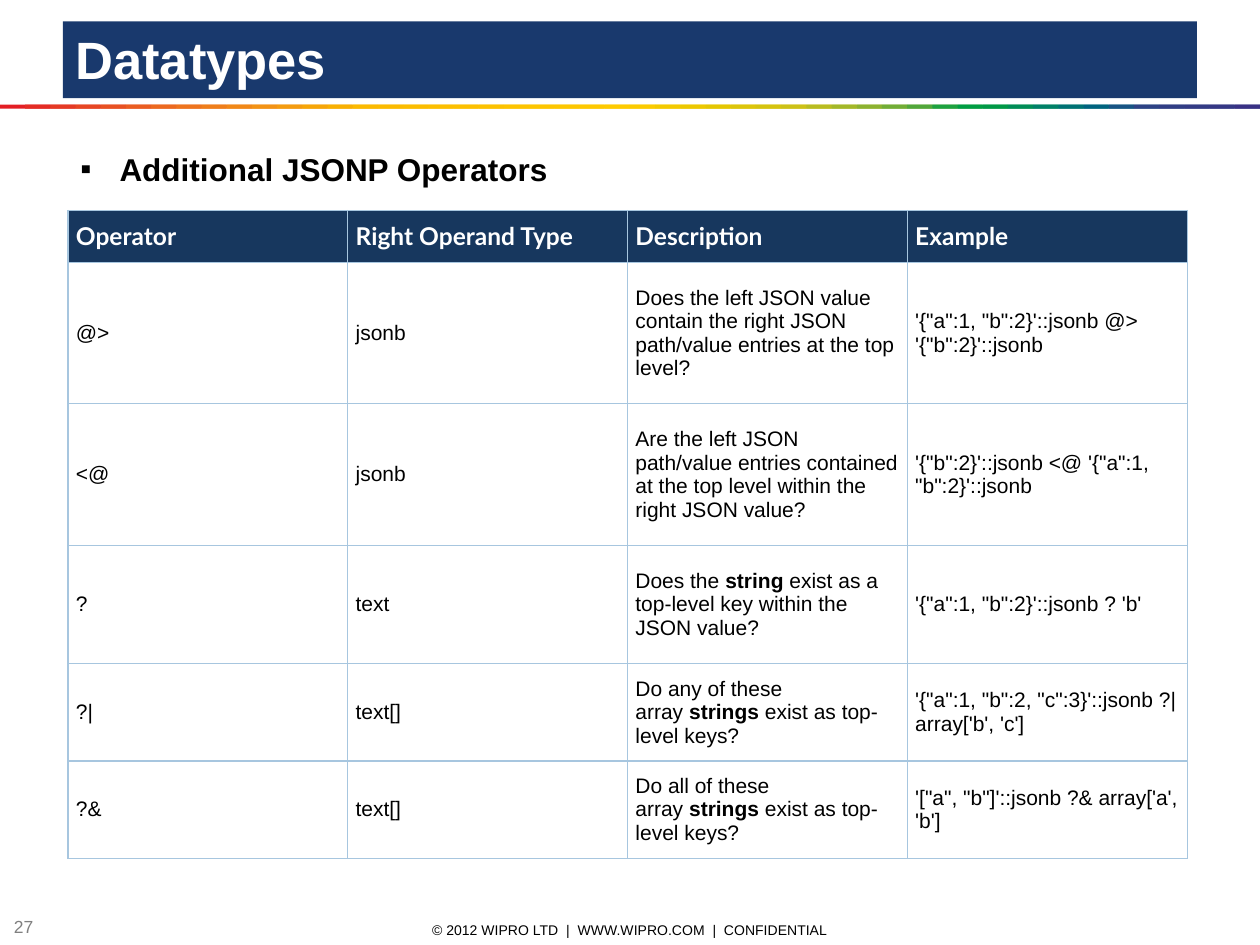
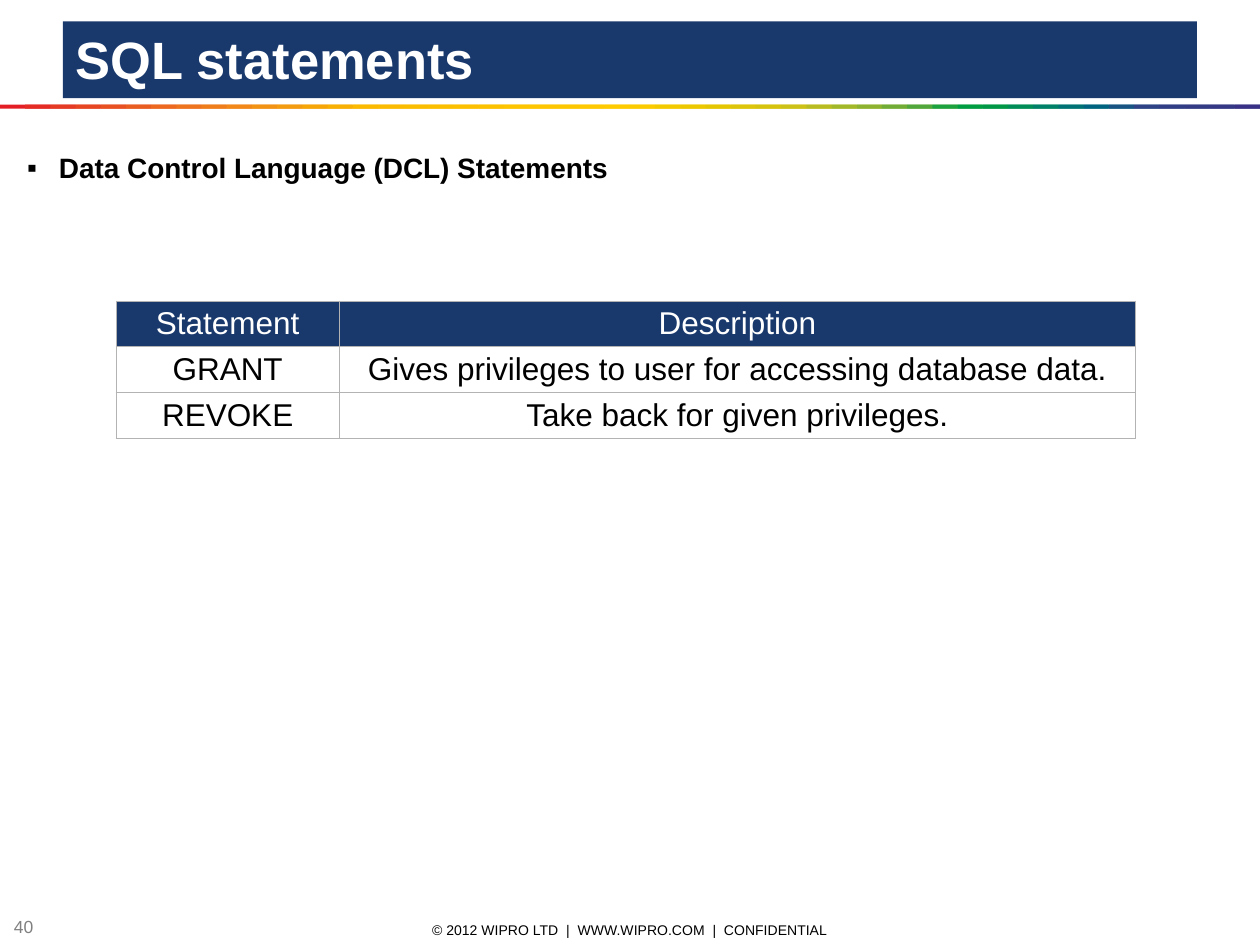
from dataclasses import dataclass
from typing import NamedTuple

from pptx import Presentation
from pptx.dml.color import RGBColor
from pptx.enum.shapes import MSO_SHAPE
from pptx.enum.text import MSO_ANCHOR, PP_ALIGN
from pptx.oxml.ns import qn
from pptx.slide import Slide
from pptx.table import _Cell
from pptx.text.text import TextFrame, _Paragraph
from pptx.util import Cm, Pt
from lxml.etree import SubElement


class TextStyle(NamedTuple):
    size: float
    color: str
    bold: bool = False
    font: str = "Arial"
    align: PP_ALIGN = PP_ALIGN.LEFT


class Box(NamedTuple):
    left: float
    top: float
    width: float
    height: float

    def lengths(self) -> tuple[Cm, ...]:
        return tuple(Cm(value) for value in self)


class Emphasis(NamedTuple):
    before: str
    strong: str
    after: str


@dataclass(frozen=True)
class Theme:
    navy: str = "19396D"
    white: str = "FFFFFF"
    title: TextStyle = TextStyle(30, "FFFFFF", True)
    footer: TextStyle = TextStyle(8, "000000", align=PP_ALIGN.CENTER)
    page_number: TextStyle = TextStyle(10, "808080")
    operator_heading: TextStyle = TextStyle(18, "000000", True)
    operator_header: TextStyle = TextStyle(14, "FFFFFF", True, "Lato")
    operator_body: TextStyle = TextStyle(12, "000000")
    statement_heading: TextStyle = TextStyle(16, "000000", True)
    statement_header: TextStyle = TextStyle(18, "FFFFFF", align=PP_ALIGN.CENTER)
    statement_body: TextStyle = TextStyle(18, "000000", align=PP_ALIGN.CENTER)
    rainbow: tuple[str, ...] = tuple(
        """
        E31E24 E42C24 E53A24 E74623 E85122 EA5D21 EC691F EE741D EF7E1A F18817
        F39314 F49C0F F6A607 F8B002 FBBA00 FBBB00 FBBD00 FCBF00 FCC000 FCC200
        FDC400 FDC600 FDC700 FEC900 FECB00 FBCB00 F3CA00 ECC800 E4C602 DCC50A
        D5C30E CCC117 B8BC21 A3B829 8CB230 71AD36 51A73B 1DA240 009D43 009846
        008C57 008068 007275 00637F 185384 2E4285 313E85 333B85 353885 393185
        """.split()
    )


@dataclass(frozen=True)
class Heading:
    text: str
    box: Box
    indent: float
    style: TextStyle


@dataclass(frozen=True)
class Grid:
    left: float
    top: float
    columns: tuple[float, ...]
    rows: tuple[float, ...]
    cells: tuple[tuple[str | Emphasis, ...], ...]
    header: TextStyle
    body: TextStyle
    header_fill: str
    border: str
    side_margin: float


@dataclass(frozen=True)
class Page:
    number: int
    title: str
    heading: Heading
    grid: Grid


THEME = Theme()
SLIDE_WIDTH, SLIDE_HEIGHT = 25.4, 19.05
TITLE_BOX = Box(1.27, 0.43, 22.86, 1.55)
FOOTER_BOX = Box(8.38, 18.49, 8.64, 0.51)
NUMBER_BOX = Box(0.03, 18.47, 0.99, 0.41)
STRIPE_TOP, STRIPE_HEIGHT = 2.11, 0.08
CELL_VERTICAL_MARGIN = 0.08
BORDER_WIDTH = Pt(0.75)
NO_BREAK_SPACE = chr(160)
FOOTER = "© 2012 WIPRO LTD  |  WWW.WIPRO.COM  |  CONFIDENTIAL"

PAGES = (
    Page(
        27,
        "Datatypes",
        Heading("Additional JSONP Operators", Box(1.37, 2.9, 22.78, 1.02), 0.79, THEME.operator_heading),
        Grid(
            left=1.37,
            top=4.24,
            columns=(5.64,) * 4,
            rows=(1.05, 2.85, 2.85, 2.39, 1.96, 1.96),
            cells=(
                ("Operator", "Right Operand Type", "Description", "Example"),
                (
                    "@>",
                    "jsonb",
                    "Does the left JSON value contain the right JSON path/value entries at the top level?",
                    """'{"a":1, "b":2}'::jsonb @> '{"b":2}'::jsonb""",
                ),
                (
                    "<@",
                    "jsonb",
                    "Are the left JSON path/value entries contained at the top level within the right JSON value?",
                    """'{"b":2}'::jsonb <@ '{"a":1, "b":2}'::jsonb""",
                ),
                (
                    "?",
                    "text",
                    Emphasis("Does the", "string", "exist as a top-level key within the JSON value?"),
                    """'{"a":1, "b":2}'::jsonb ? 'b'""",
                ),
                (
                    "?|",
                    "text[]",
                    Emphasis("Do any of these array", "strings", "exist as top-level keys?"),
                    """'{"a":1, "b":2, "c":3}'::jsonb ?| array['b', 'c']""",
                ),
                (
                    "?&",
                    "text[]",
                    Emphasis("Do all of these array", "strings", "exist as top-level keys?"),
                    """'["a", "b"]'::jsonb ?& array['a', 'b']""",
                ),
            ),
            header=THEME.operator_header,
            body=THEME.operator_body,
            header_fill="17375E",
            border="A7C6DF",
            side_margin=0.16,
        ),
    ),
    Page(
        40,
        "SQL statements",
        Heading(
            "Data Control Language (DCL) Statements", Box(0.3, 2.92, 24.59, 15.27), 0.64, THEME.statement_heading
        ),
        Grid(
            left=2.34,
            top=6.07,
            columns=(4.5, 16.05),
            rows=(0.92,) * 3,
            cells=(
                ("Statement", "Description"),
                ("GRANT", "Gives privileges to user for accessing database data."),
                ("REVOKE", "Take back for given privileges."),
            ),
            header=THEME.statement_header,
            body=THEME.statement_body,
            header_fill=THEME.navy,
            border="B3B3B3",
            side_margin=0.08,
        ),
    ),
)


def write(frame: TextFrame, text: str | Emphasis, style: TextStyle) -> None:
    paragraph = frame.paragraphs[0]
    if isinstance(text, Emphasis):
        paragraph.add_run().text = text.before + NO_BREAK_SPACE
        strong_run = paragraph.add_run()
        strong_run.text = text.strong
        strong_run.font.bold = True
        paragraph.add_run().text = NO_BREAK_SPACE + text.after
    else:
        paragraph.text = text
    paragraph.alignment = style.align
    paragraph.font.name = style.font
    paragraph.font.size = Pt(style.size)
    paragraph.font.bold = style.bold
    paragraph.font.color.rgb = RGBColor.from_string(style.color)


def add_text(slide: Slide, box: Box, text: str, style: TextStyle, anchor: MSO_ANCHOR) -> None:
    frame = slide.shapes.add_textbox(*box.lengths()).text_frame
    frame.word_wrap = True
    frame.vertical_anchor = anchor
    write(frame, text, style)


def add_bullet(paragraph: _Paragraph, indent: float) -> None:
    properties = paragraph._p.get_or_add_pPr()
    properties.set("marL", str(Cm(indent)))
    properties.set("indent", str(-Cm(indent)))
    SubElement(properties, qn("a:buFont"), typeface="Arial")
    SubElement(properties, qn("a:buChar"), char="▪")


def add_heading(slide: Slide, heading: Heading) -> None:
    frame = slide.shapes.add_textbox(*heading.box.lengths()).text_frame
    frame.word_wrap = True
    add_bullet(frame.paragraphs[0], heading.indent)
    write(frame, heading.text, heading.style)


def add_stripe(slide: Slide) -> None:
    group = slide.shapes.add_group_shape()
    step = SLIDE_WIDTH / len(THEME.rainbow)
    for index, color in enumerate(THEME.rainbow):
        left = index * step
        box = Box(left, STRIPE_TOP, min(2 * step, SLIDE_WIDTH - left), STRIPE_HEIGHT)
        segment = group.shapes.add_shape(MSO_SHAPE.RECTANGLE, *box.lengths())
        segment.shadow.inherit = False
        segment.fill.solid()
        segment.fill.fore_color.rgb = RGBColor.from_string(color)
        segment.line.fill.background()


def add_title(slide: Slide, title: str) -> None:
    band = slide.shapes.add_shape(MSO_SHAPE.RECTANGLE, *TITLE_BOX.lengths())
    band.shadow.inherit = False
    band.fill.solid()
    band.fill.fore_color.rgb = RGBColor.from_string(THEME.navy)
    band.line.fill.background()
    band.text_frame.word_wrap = True
    band.text_frame.vertical_anchor = MSO_ANCHOR.TOP
    write(band.text_frame, title, THEME.title)


def format_cell(cell: _Cell, fill: str, border: str, side_margin: float) -> None:
    cell.vertical_anchor = MSO_ANCHOR.MIDDLE
    cell.margin_left = cell.margin_right = Cm(side_margin)
    cell.margin_top = cell.margin_bottom = Cm(CELL_VERTICAL_MARGIN)
    properties = cell._tc.get_or_add_tcPr()
    for side in ("lnL", "lnR", "lnT", "lnB"):
        line = SubElement(properties, qn(f"a:{side}"), w=str(BORDER_WIDTH))
        SubElement(SubElement(line, qn("a:solidFill")), qn("a:srgbClr"), val=border)
    cell.fill.solid()
    cell.fill.fore_color.rgb = RGBColor.from_string(fill)


def add_grid(slide: Slide, grid: Grid) -> None:
    box = Box(grid.left, grid.top, sum(grid.columns), sum(grid.rows))
    table = slide.shapes.add_table(len(grid.rows), len(grid.columns), *box.lengths()).table
    table.first_row = table.horz_banding = False
    for column, width in zip(table.columns, grid.columns):
        column.width = Cm(width)
    for index, (row, height, texts) in enumerate(zip(table.rows, grid.rows, grid.cells)):
        row.height = Cm(height)
        style, fill = (grid.body, THEME.white) if index else (grid.header, grid.header_fill)
        for cell, text in zip(row.cells, texts):
            format_cell(cell, fill, grid.border, grid.side_margin)
            write(cell.text_frame, text, style)


def main() -> None:
    presentation = Presentation()
    presentation.slide_width = Cm(SLIDE_WIDTH)
    presentation.slide_height = Cm(SLIDE_HEIGHT)
    for page in PAGES:
        slide = presentation.slides.add_slide(presentation.slide_layouts[6])
        add_text(slide, FOOTER_BOX, FOOTER, THEME.footer, MSO_ANCHOR.MIDDLE)
        add_text(slide, NUMBER_BOX, str(page.number), THEME.page_number, MSO_ANCHOR.MIDDLE)
        add_stripe(slide)
        add_title(slide, page.title)
        add_heading(slide, page.heading)
        add_grid(slide, page.grid)
    presentation.save("out.pptx")


if __name__ == "__main__":
    main()
